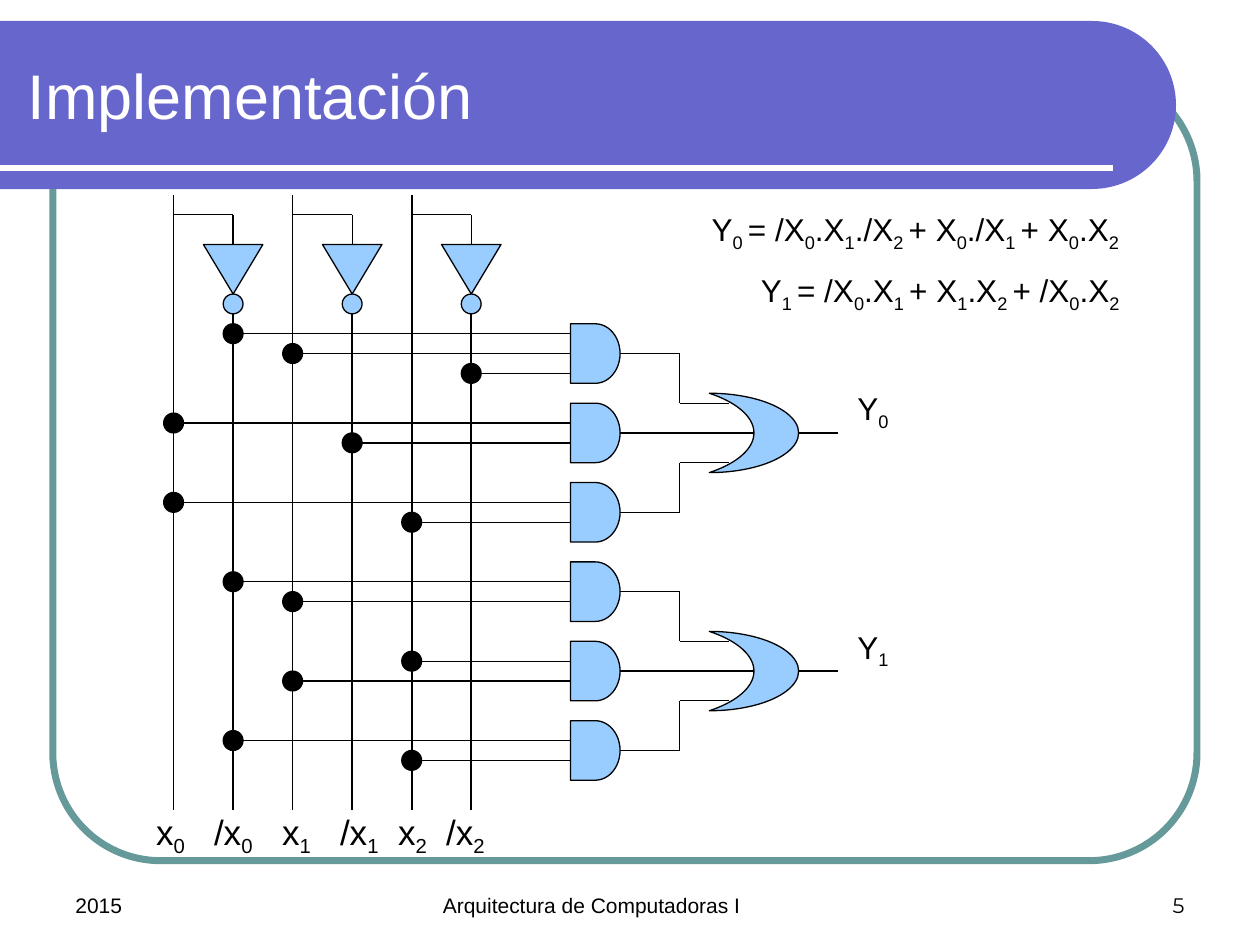
import math

import pptx
import pptx.dml.color
import pptx.enum.shapes
import pptx.enum.text
import pptx.oxml.ns
import pptx.util
from lxml import etree

Pt = pptx.util.Pt
SHAPE = pptx.enum.shapes.MSO_SHAPE
ALIGN = pptx.enum.text.PP_ALIGN
ANCHOR = pptx.enum.text.MSO_ANCHOR
qn = pptx.oxml.ns.qn

COLORS = {"band": "6666CC", "frame": "669999", "gate": "99CCFF",
          "ink": "000000", "paper": "FFFFFF"}

U = 11.34                       # grid step of the circuit
BUS_LEFT, GATES_TOP = 99.2, 185.04
GATE_COL, GATE_PITCH = 20, 4    # in grid steps
SIGNALS = 6

# For each AND gate: (signal column, steps below the gate's top)
AND_INPUTS = [
    [(1, 0.5), (2, 1.5), (5, 2.5)],
    [(0, 1), (3, 2)],
    [(0, 1), (4, 2)],
    [(1, 1), (2, 2)],
    [(4, 1), (2, 2)],
    [(1, 1), (4, 2)],
]

# Pieces between bars alternate between normal text and subscript
EQUATIONS = [
    (399.6, 116.6, 266.4, "Y|0 |= /X|0|.X|1|./X|2 |+ X|0|./X|1 |+ X|0|.X|2"),
    (427.7, 151.2, 238.3, "Y|1 |= /X|0|.X|1 |+ X|1|.X|2 |+ /X|0|.X|2"),
]
SIGNAL_NAMES = "x|0|\t/x|0|\tx|1|\t/x|1|\tx|2|\t/x|2"
SIGNAL_TABS = [33.1, 72, 105.1, 138.3, 165.7]


def rgb(name):
    return pptx.dml.color.RGBColor.from_string(COLORS[name])


def gx(steps):
    return BUS_LEFT + steps * U


def gy(steps):
    return GATES_TOP + steps * U


def add_line(slide, x1, y1, x2, y2, width=0.75, color="ink"):
    line = slide.shapes.add_connector(
        pptx.enum.shapes.MSO_CONNECTOR.STRAIGHT, Pt(x1), Pt(y1), Pt(x2), Pt(y2))
    line.line.color.rgb = rgb(color)
    line.line.width = Pt(width)
    etree.SubElement(line._element.spPr, qn("a:effectLst"))
    return line


def add_wire(slide, *points, width=0.75):
    """Draw straight segments through grid points; return the segments."""
    return [add_line(slide, gx(a), gy(b), gx(c), gy(d), width)
            for (a, b), (c, d) in zip(points, points[1:])]


def add_part(slide, kind, col, row, width, height, fill="gate"):
    """Add a circuit symbol, placed and sized in grid steps."""
    part = slide.shapes.add_shape(kind, Pt(gx(col)), Pt(gy(row)),
                                  Pt(width * U), Pt(height * U))
    part.shadow.inherit = False
    part.fill.solid()
    part.fill.fore_color.rgb = rgb(fill)
    part.line.color.rgb = rgb("ink")
    part.line.width = Pt(0.75)
    return part


def add_runs(paragraph, marked, size, font="Arial", color="ink"):
    for i, piece in enumerate(marked.split("|")):
        run = paragraph.add_run()
        run.text = piece
        run.font.size = Pt(size)
        run.font.name = font
        run.font.color.rgb = rgb(color)
        if i % 2:
            run._r.get_or_add_rPr().set("baseline", "-25000")


def add_text(slide, x, y, w, h, marked, size, align=ALIGN.LEFT,
             anchor=ANCHOR.TOP, font="Arial"):
    frame = slide.shapes.add_textbox(Pt(x), Pt(y), Pt(w), Pt(h)).text_frame
    frame.word_wrap = True
    frame.vertical_anchor = anchor
    paragraph = frame.paragraphs[0]
    paragraph.alignment = align
    add_runs(paragraph, marked, size, font)
    return paragraph


def set_tabs(paragraph, stops):
    tabs = etree.SubElement(paragraph._p.get_or_add_pPr(), qn("a:tabLst"))
    for stop in stops:
        etree.SubElement(tabs, qn("a:tab"), pos=str(int(Pt(stop))), algn="l")


def add_backdrop(slide):
    frame = slide.shapes.add_shape(SHAPE.ROUNDED_RECTANGLE, Pt(30.2), Pt(41.8),
                                   Pt(653.8), Pt(450))
    frame.adjustments[0] = 0.137
    frame.shadow.inherit = False
    frame.fill.background()
    frame.line.color.rgb = rgb("frame")
    frame.line.width = Pt(4)

    radius, center_x, center_y = 48, 624, 60
    angles = [math.radians(a) for a in range(-90, 91, 3)]
    cap = [(Pt(center_x + radius * math.cos(a)),
            Pt(center_y + radius * math.sin(a))) for a in angles]
    outline = slide.shapes.build_freeform(0, Pt(center_y - radius))
    outline.add_line_segments(cap + [(0, Pt(center_y + radius))], close=True)
    band = outline.convert_to_shape()
    band.shadow.inherit = False
    band.fill.solid()
    band.fill.fore_color.rgb = rgb("band")
    band.line.fill.background()
    add_line(slide, 0, 96, 636, 96, 3, "paper")


def add_title(slide, text):
    title = slide.shapes.title
    title.left, title.top, title.width, title.height = map(Pt, (8.6, 18, 499, 72))
    title.text_frame.vertical_anchor = ANCHOR.MIDDLE
    paragraph = title.text_frame.paragraphs[0]
    paragraph.alignment = ALIGN.LEFT
    add_runs(paragraph, text, 36, color="paper")
    tree = title._element.getparent()
    tree.append(title._element)     # in front of the band


def add_signal_pair(slide, col):
    """A signal's bus line, its inverter and the bus line of its negation."""
    negated = col + 3
    add_part(slide, SHAPE.FLOWCHART_EXTRACT, negated - 1.5, -4, 3, 2.5).rotation = 180
    add_part(slide, SHAPE.OVAL, negated - 0.5, -1.5, 1, 1)
    add_wire(slide, (col, -6.5), (col, 24.5), width=1)
    add_wire(slide, (col, -5.5), (negated, -5.5), (negated, -4))
    add_wire(slide, (negated, -0.5), (negated, 24.5), width=1)


def add_and_gate(slide, row, inputs):
    gate = add_part(slide, SHAPE.FLOWCHART_DELAY, GATE_COL, row, 2.5, 3)
    for signal, drop in inputs:
        col, y = signal * 3, row + drop
        wire, = add_wire(slide, (col, y), (GATE_COL, y))
        if drop == 1.5:
            wire.end_connect(gate, 1)
        add_part(slide, SHAPE.OVAL, col - 0.5, y - 0.5, 1, 1, "ink")
    return gate


def add_or_gate(slide, row, and_gates, name):
    """OR gate centred on the middle one of three AND gates; row is its centre."""
    moon = add_part(slide, SHAPE.MOON, 27, row - 2, 4.5, 4)
    moon._element.spPr.find(qn("a:xfrm")).set("flipH", "1")
    out, bend = GATE_COL + 2.5, 25.5
    routes = [[(out, row + side * 4), (bend, row + side * 4),
               (bend, row + side * 1.5), (28, row + side * 1.5)]
              for side in (-1, 1)]
    routes.insert(1, [(out, row), (29.25, row)])
    for gate, route in zip(and_gates, routes):
        add_wire(slide, *route)[0].begin_connect(gate, 3)
    add_wire(slide, (31.5, row), (33.5, row))
    add_text(slide, gx(33.5), gy(row) - 28.4, 39.6, 28.8, name, 18, ALIGN.CENTER)


def main():
    deck = pptx.Presentation()
    deck.slide_width, deck.slide_height = Pt(720), Pt(540)
    slide = deck.slides.add_slide(deck.slide_layouts[5])
    add_backdrop(slide)
    add_title(slide, "Implementación")

    for x, y, w, equation in EQUATIONS:
        add_text(slide, x, y, w, 28.8, equation, 18)

    for signal in range(0, SIGNALS, 2):
        add_signal_pair(slide, signal * 3)
    and_gates = [add_and_gate(slide, i * GATE_PITCH, inputs)
                 for i, inputs in enumerate(AND_INPUTS)]
    add_or_gate(slide, 5.5, and_gates[:3], "Y|0")
    add_or_gate(slide, 17.5, and_gates[3:], "Y|1")
    set_tabs(add_text(slide, 82.1, 459.4, 209.5, 31.7, SIGNAL_NAMES, 20), SIGNAL_TABS)

    for x, w, text, align, font in [
            (36, 168, "2015", ALIGN.LEFT, "Arial"),
            (246, 228, "Arquitectura de Computadoras I", ALIGN.LEFT, "Arial"),
            (516, 168, "5", ALIGN.RIGHT, "Montserrat")]:
        add_text(slide, x, 492, w, 36, text, 12, align, ANCHOR.BOTTOM, font)
    deck.save("out.pptx")


if __name__ == "__main__":
    main()
